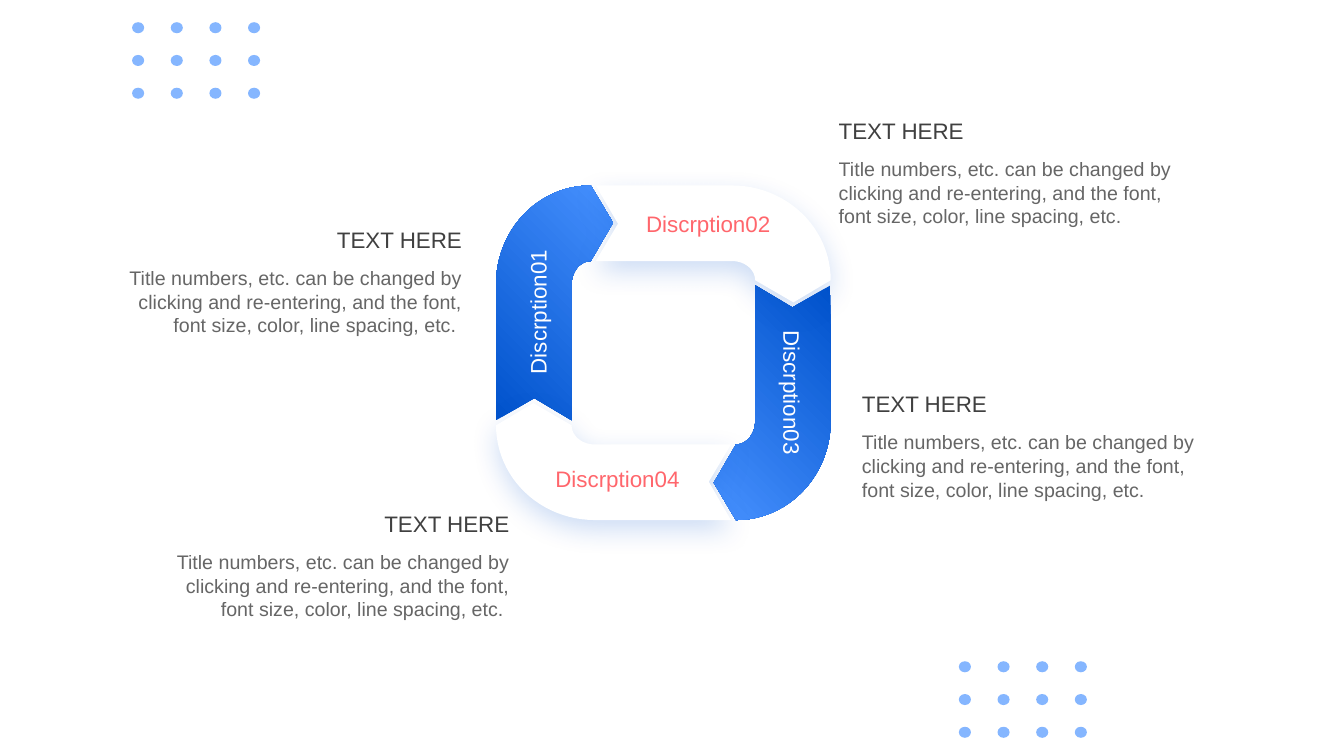
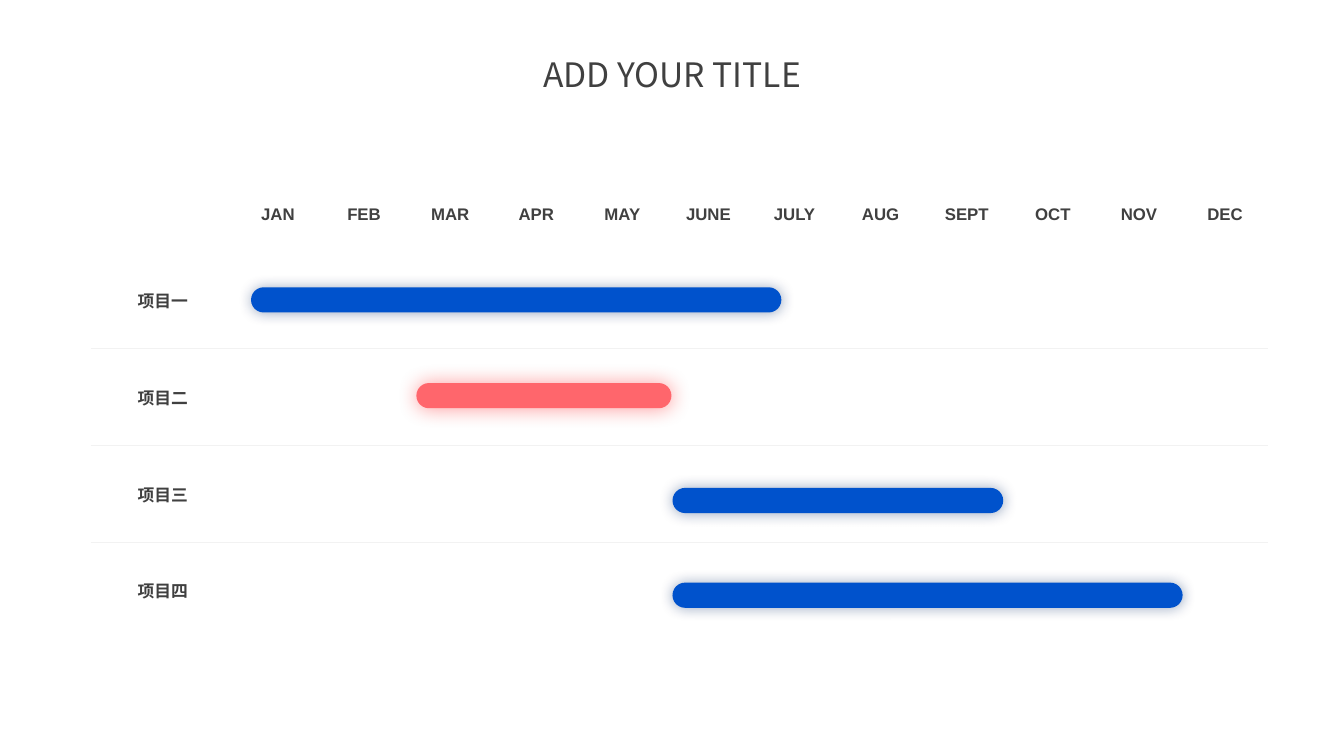
from math import cos, radians, sin

from lxml.etree import SubElement
from pptx import Presentation
from pptx.dml.color import RGBColor
from pptx.enum.shapes import MSO_SHAPE
from pptx.enum.text import MSO_ANCHOR, MSO_AUTO_SIZE, PP_ALIGN
from pptx.oxml.ns import qn
from pptx.util import Inches, Pt

BLUE = RGBColor(0x00, 0x52, 0xCC)
LIGHT_BLUE = RGBColor(0x47, 0x91, 0xFF)
DOT_BLUE = RGBColor(0x85, 0xB6, 0xFF)
NAVY = RGBColor(0x00, 0x29, 0x66)
CORAL = RGBColor(0xFF, 0x66, 0x6C)
RED = RGBColor(0xFF, 0x00, 0x0A)
GREY = RGBColor(0x40, 0x40, 0x40)
PALE_GREY = RGBColor(0xF2, 0xF2, 0xF2)
WHITE = RGBColor(0xFF, 0xFF, 0xFF)

LATIN_FONT = "Arial"
ASIAN_FONT = "Noto Sans CJK TC"
TITLE_STYLE = {"size": Pt(24), "name": ASIAN_FONT}
HEADING_STYLE = {"size": Pt(16), "name": LATIN_FONT}
BODY_STYLE = {"size": Pt(14), "name": LATIN_FONT}
TABLE_STYLE = {"size": Pt(12), "name": LATIN_FONT, "bold": True}
NO_STYLE_NO_GRID = "{2D5ABB26-0587-4C30-8999-92F81FD0307C}"

TITLE_ONLY, BLANK = 5, 6
LABEL_SIZE = (1.45, 0.37)
BODY_SIZE = (3.52, 0.81)
DETAIL = (
    "Title numbers, etc. can be changed by clicking and re-entering, "
    "and the font, font size, color, line spacing, etc."
)
MONTHS = "JAN FEB MAR APR MAY JUNE JULY AUG SEPT OCT NOV DEC".split()
PROJECTS = ["项目一", "项目二", "项目三", "项目四"]


def arc(center, radii, start, end, steps=24):
    """Return points along an elliptical arc between two angles in degrees."""
    angles = [radians(start + (end - start) * step / steps) for step in range(steps + 1)]
    return [(center[0] + radii[0] * cos(a), center[1] + radii[1] * sin(a)) for a in angles]


class Deck:
    """Hold the presentation, its style and the current slide."""

    def __init__(self):
        """Start an empty widescreen presentation."""
        self.presentation = Presentation()
        self.presentation.slide_width = Inches(13.33)
        self.presentation.slide_height = Inches(7.5)
        self.slide = None

    def new_slide(self, layout):
        """Add a slide and make it current."""
        self.slide = self.presentation.slides.add_slide(self.presentation.slide_layouts[layout])

    def fill_text(self, frame, text, style, color=GREY, align=PP_ALIGN.LEFT, opacity=100):
        """Fill a text frame with one formatted paragraph."""
        paragraph = frame.paragraphs[0]
        paragraph.alignment = align
        run = paragraph.add_run()
        run.text = text
        for key, value in style.items():
            setattr(run.font, key, value)
        run.font.color.rgb = color
        properties = run.font._element
        SubElement(properties, qn("a:ea"), typeface=ASIAN_FONT)
        if opacity < 100:
            color_element = properties.find(".//" + qn("a:srgbClr"))
            SubElement(color_element, qn("a:alpha"), val=str(opacity * 1000))
        return paragraph

    def title(self, text, left, top, width, height):
        """Place and format the title placeholder."""
        shape = self.slide.shapes.title
        shape.left, shape.top = Inches(left), Inches(top)
        shape.width, shape.height = Inches(width), Inches(height)
        frame = shape.text_frame
        frame.word_wrap = False
        frame.auto_size = MSO_AUTO_SIZE.SHAPE_TO_FIT_TEXT
        frame.vertical_anchor = MSO_ANCHOR.MIDDLE
        paragraph = self.fill_text(frame, text, TITLE_STYLE, align=PP_ALIGN.CENTER)
        paragraph.line_spacing = 0.9
        paragraph.space_before = Pt(0)

    def text(self, text, left, top, size, style, wrap=False, rotation=0, **options):
        """Add a text box."""
        shape = self.slide.shapes.add_textbox(Inches(left), Inches(top), *map(Inches, size))
        shape.rotation = rotation
        shape.text_frame.word_wrap = wrap
        shape.text_frame.auto_size = MSO_AUTO_SIZE.SHAPE_TO_FIT_TEXT
        self.fill_text(shape.text_frame, text, style, **options)

    def description(self, left, top, align):
        """Add a heading with its explanation below."""
        at_right = align == PP_ALIGN.RIGHT
        heading_left = left + BODY_SIZE[0] - LABEL_SIZE[0] if at_right else left
        self.text("TEXT HERE", heading_left, top, LABEL_SIZE, HEADING_STYLE, align=align)
        detail = DETAIL + " " if at_right else DETAIL
        self.text(detail, left, top + 0.4, BODY_SIZE, BODY_STYLE, wrap=True, align=align, opacity=80)

    def finish(self, shape, color, shadow=None):
        """Give a shape a plain fill, no line and an optional soft shadow."""
        shape.fill.solid()
        shape.fill.fore_color.rgb = color
        shape.line.fill.background()
        shape.shadow.inherit = False
        if shadow:
            shadow_color, opacity, blur, distance, direction = shadow
            effects = shape._element.spPr.find(qn("a:effectLst"))
            outer = SubElement(
                effects, qn("a:outerShdw"), blurRad=str(Pt(blur)), dist=str(Pt(distance)),
                dir=str(direction * 60000), algn="ctr", rotWithShape="0",
            )
            color_element = SubElement(outer, qn("a:srgbClr"), val=str(shadow_color))
            SubElement(color_element, qn("a:alpha"), val=str(opacity * 1000))

    def radial_fill(self, shape, focus):
        """Fill a shape with a light to dark blue gradient around a corner."""
        shape.fill.gradient()
        for stop, color in zip(shape.fill.gradient_stops, (LIGHT_BLUE, BLUE)):
            stop.color.rgb = color
        gradient = shape._element.spPr.find(qn("a:gradFill"))
        gradient.remove(gradient.find(qn("a:lin")))
        circle = SubElement(gradient, qn("a:path"), path="circle")
        SubElement(circle, qn("a:fillToRect"), {side: "100000" for side in focus})

    def ring_arrow(self, turns, focus=None):
        """Add one bent arrow of the ring, turned by quarter turns."""
        corner = (-0.72, -0.68)
        points = [
            *arc(corner, (0.94, 0.98), 180, 270), (-0.5, -1.29),
            *arc(corner, (0.19, 0.23), 270, 180),
            (-0.91, 0.67), (-1.28, 0.45), (-1.66, 0.67),
        ]
        for _ in range(turns):
            points = [(-y, x) for x, y in points]
        points = [(Inches(6.58 + x), Inches(3.5 + y)) for x, y in points]
        builder = self.slide.shapes.build_freeform(*points[0])
        builder.add_line_segments(points[1:], close=True)
        shape = builder.convert_to_shape()
        self.finish(shape, WHITE, None if focus else (BLUE, 20, 20, 7, 90))
        if focus:
            self.radial_fill(shape, focus)

    def dots(self, left, top):
        """Add a grid of four by three dots."""
        for index in range(12):
            row, column = divmod(index, 4)
            shape = self.slide.shapes.add_shape(
                MSO_SHAPE.OVAL, Inches(left + column * 1.15 / 3), Inches(top + row * 0.325),
                Inches(0.12), Inches(0.11),
            )
            self.finish(shape, DOT_BLUE)

    def bar(self, left, top, width, color, shadow):
        """Add a round-ended schedule bar."""
        shape = self.slide.shapes.add_shape(
            MSO_SHAPE.ROUNDED_RECTANGLE, Inches(left), Inches(top), Inches(width), Inches(0.25)
        )
        shape.adjustments[0] = 0.5
        self.finish(shape, color, shadow)

    def rule(self, cell, side):
        """Draw a thin border on one side of a cell."""
        line = SubElement(cell._tc.get_or_add_tcPr(), qn("a:" + side), w=str(Pt(0.5)))
        fill = SubElement(line, qn("a:solidFill"))
        SubElement(fill, qn("a:srgbClr"), val=str(PALE_GREY))

    def schedule(self, left, top, width, height):
        """Add the table of projects by month."""
        rows = [["", *MONTHS]] + [[project] + [""] * len(MONTHS) for project in PROJECTS]
        table = self.slide.shapes.add_table(
            len(rows), len(rows[0]), Inches(left), Inches(top), Inches(width), Inches(height)
        ).table
        table.first_row = table.horz_banding = False
        table._tbl.tblPr.find(qn("a:tableStyleId")).text = NO_STYLE_NO_GRID
        for index, column in enumerate(table.columns):
            column.width = Inches((width - 1.43) / len(MONTHS) if index else 1.43)
        for index, row in enumerate(table.rows):
            row.height = Inches(0.96 if index else 0.75)
            for cell, text in zip(row.cells, rows[index]):
                if index > 1:
                    self.rule(cell, "lnT")
                if 0 < index < len(PROJECTS):
                    self.rule(cell, "lnB")
                cell.fill.background()
                cell.vertical_anchor = MSO_ANCHOR.MIDDLE
                if index == 0:
                    cell.margin_left = cell.margin_right = cell.margin_top = Inches(0.01)
                    cell.margin_bottom = 0
                if text:
                    self.fill_text(cell.text_frame, text, TABLE_STYLE, align=PP_ALIGN.CENTER)


def build_cycle(deck):
    """Build the slide with the ring of four arrows."""
    deck.new_slide(BLANK)
    for turns, focus in ((0, "lb"), (2, "tr"), (1, None), (3, None)):
        deck.ring_arrow(turns, focus)
    labels = [
        ("01", 4.61, 2.9, 270, WHITE), ("02", 6.31, 2.04, 0, CORAL),
        ("03", 7.13, 3.72, 90, WHITE), ("04", 5.41, 4.57, 0, CORAL),
    ]
    for number, left, top, rotation, color in labels:
        deck.text("Discrption" + number, left, top, LABEL_SIZE, HEADING_STYLE,
                  rotation=rotation, color=color)
    for left, top, align in (
        (1.16, 2.19, PP_ALIGN.RIGHT), (1.63, 5.01, PP_ALIGN.RIGHT),
        (8.22, 1.11, PP_ALIGN.LEFT), (8.45, 3.82, PP_ALIGN.LEFT),
    ):
        deck.description(left, top, align)
    deck.dots(1.31, 0.22)
    deck.dots(9.51, 6.56)


def build_schedule(deck):
    """Build the slide with the yearly schedule."""
    deck.new_slide(TITLE_ONLY)
    deck.title("ADD YOUR TITLE", 5.23, 0.53, 2.87, 0.46)
    deck.schedule(0.9, 1.75, 11.68, 4.59)
    blue_bar = (BLUE, (NAVY, 40, 10, 0, 0))
    coral_bar = (CORAL, (RED, 40, 15, 0, 0))
    for left, top, width, look in (
        (2.49, 2.85, 5.26, blue_bar), (4.13, 3.8, 2.53, coral_bar),
        (6.67, 4.84, 3.28, blue_bar), (6.67, 5.78, 5.06, blue_bar),
    ):
        deck.bar(left, top, width, *look)


def main():
    """Build both slides and save them."""
    deck = Deck()
    build_cycle(deck)
    build_schedule(deck)
    deck.presentation.save("out.pptx")


if __name__ == "__main__":
    main()
